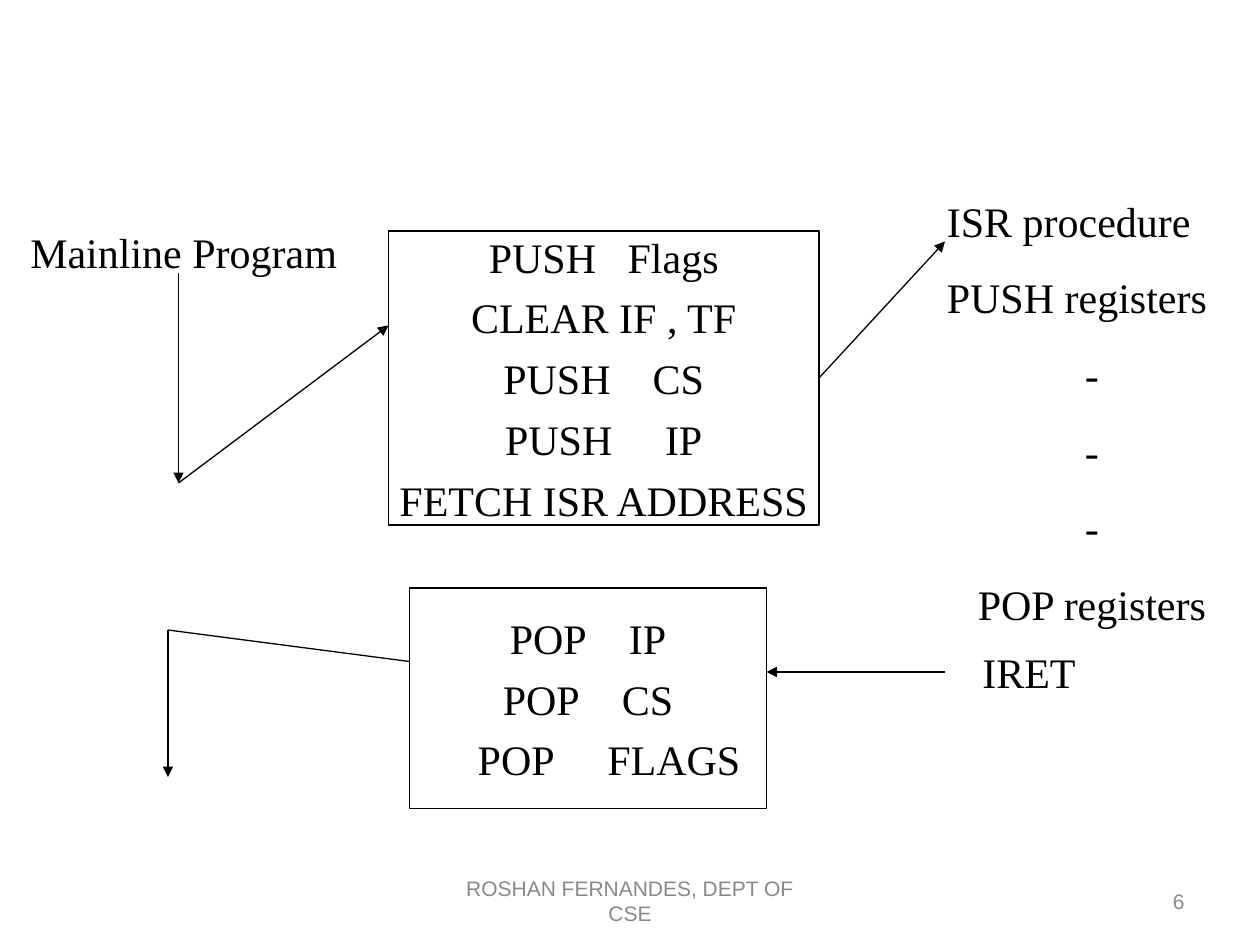
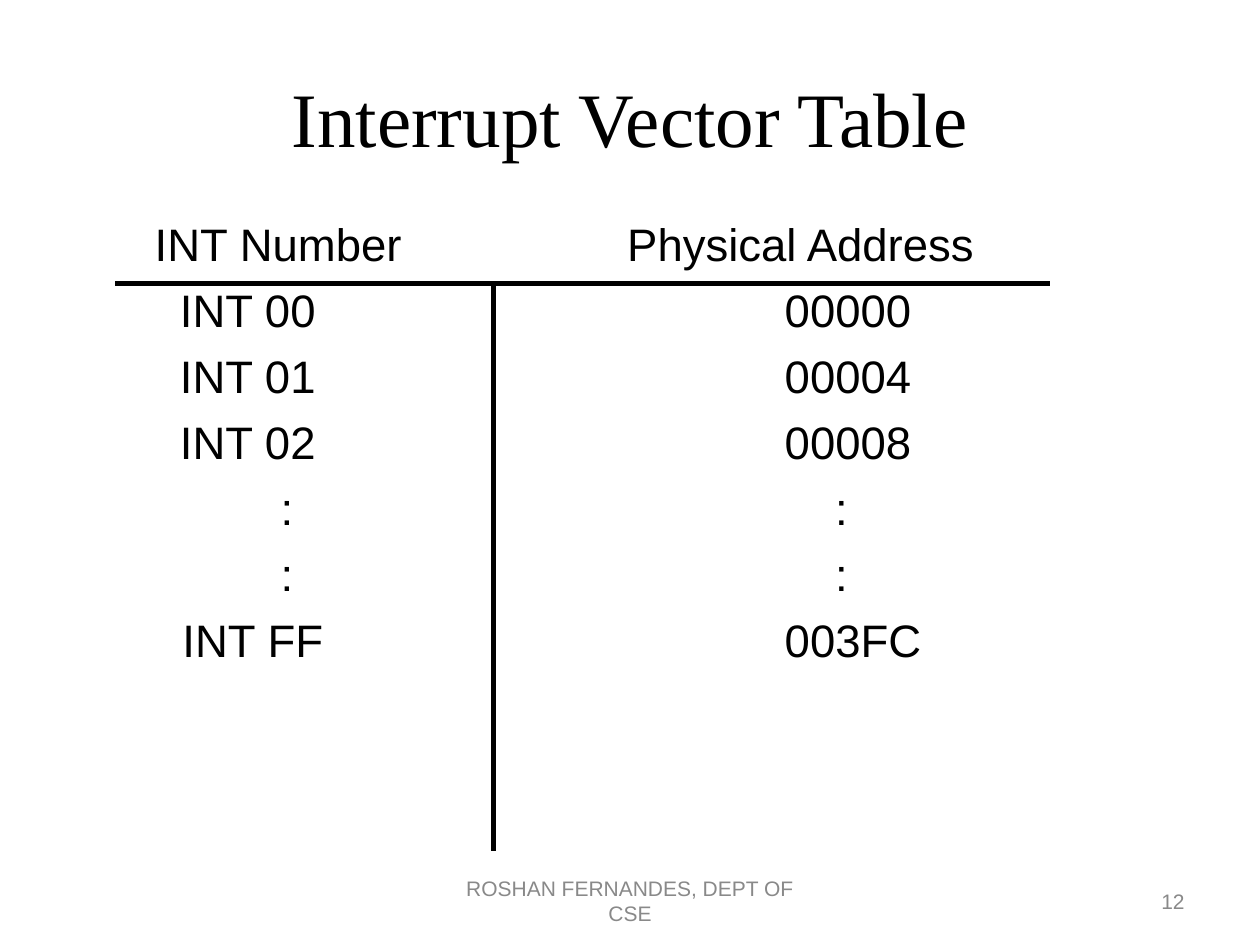
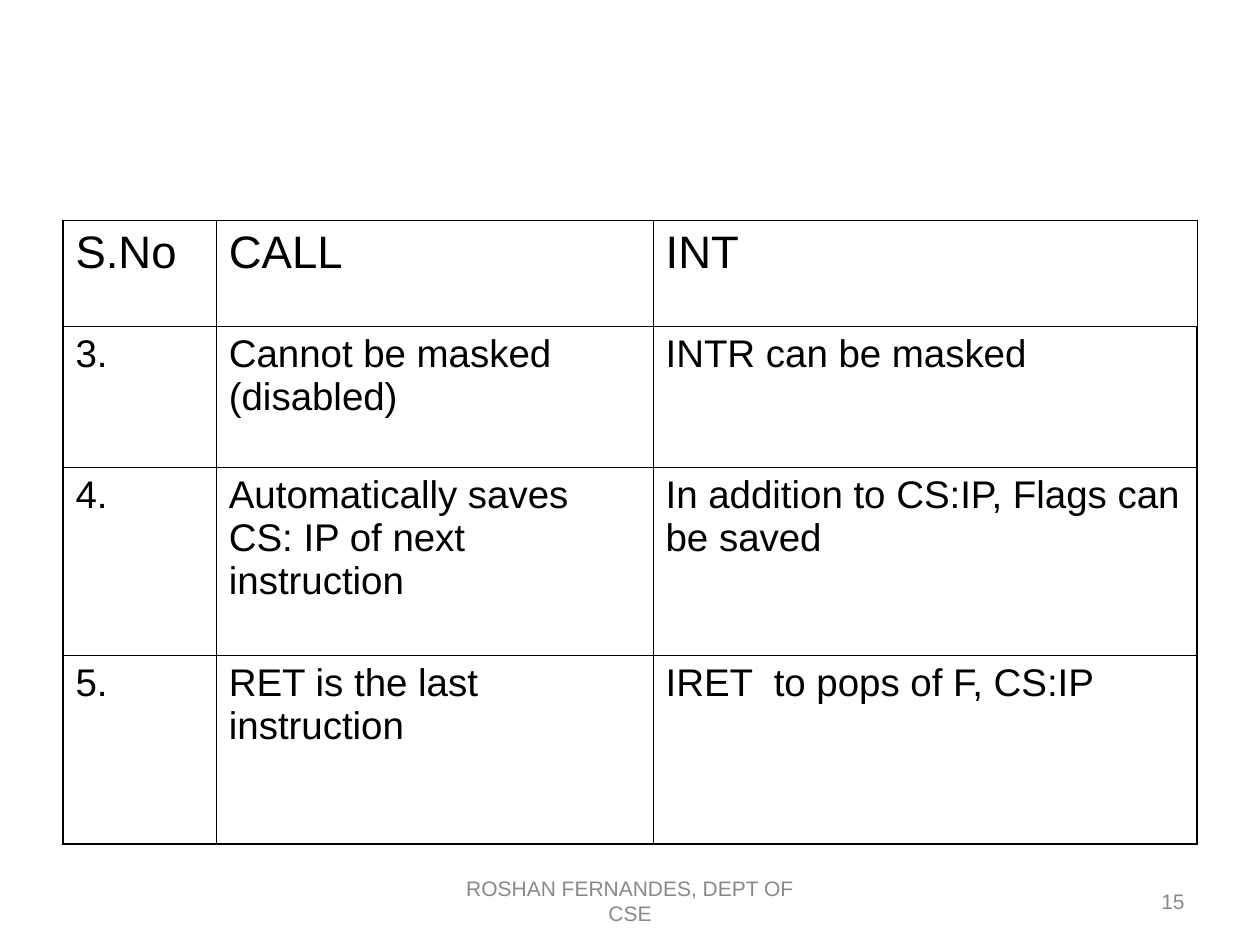
from lxml import etree
from pptx import Presentation
from pptx.dml.color import RGBColor
from pptx.enum.shapes import MSO_CONNECTOR, MSO_SHAPE
from pptx.enum.text import MSO_ANCHOR, PP_ALIGN as AL
from pptx.oxml.ns import qn
from pptx.util import Inches, Pt

BLACK = RGBColor(0x00, 0x00, 0x00)
GREY = RGBColor(0x89, 0x89, 0x89)
SERIF, SANS = "Times New Roman", "Arial"
U = Inches(1) // 12  # grid unit: the slide is 120 columns by 90 rows


def write(target, lines, box=None, size=24, font=SERIF, color=BLACK, align=AL.LEFT,
          anchor=MSO_ANCHOR.TOP, before=0, lead=1.2, gaps=None):
    """Fill a text frame, or a new text box when box gives its place on the grid.

    gaps lists, line by line, the points added to the first space.
    """
    tf = target
    if box:
        tf = target.shapes.add_textbox(*[round(n * U) for n in box]).text_frame
    tf.word_wrap = True
    tf.vertical_anchor = anchor
    for i, line in enumerate(lines):
        p = tf.add_paragraph() if i else tf.paragraphs[0]
        p.alignment = align
        p.line_spacing = Pt(size * lead)
        if i and before:
            p.space_before = Pt(before)
        for part in line.partition(" ") if gaps else [line]:
            r = p.add_run()
            r.text = part
            r.font.size, r.font.name = Pt(size), font
            r.font.color.rgb = color
            if gaps and part == " ":
                r._r.get_or_add_rPr().set("spc", str(gaps[i] * 100))
    return tf


def add_line(s, x1, y1, x2, y2, width=0.75, arrow=False):
    c = s.shapes.add_connector(MSO_CONNECTOR.STRAIGHT, x1 * U, y1 * U, x2 * U, y2 * U)
    c.line.color.rgb = BLACK
    c.line.width = Pt(width)
    if arrow:
        etree.SubElement(c.line._get_or_add_ln(), qn("a:tailEnd"), type="triangle")
    etree.SubElement(c._element.spPr, qn("a:effectLst"))


prs = Presentation()
prs.slide_width, prs.slide_height = 120 * U, 90 * U

# Slides with their shared footer and page number
slides = []
for number in (6, 12, 15):
    s = prs.slides.add_slide(prs.slide_layouts[6])
    small = dict(size=12, font=SANS, color=GREY, anchor=MSO_ANCHOR.MIDDLE)
    write(s, ["ROSHAN FERNANDES, DEPT OF CSE"], (41, 83.4, 38, 4.8), align=AL.CENTER, **small)
    write(s, [str(number)], (86, 83.4, 28, 4.8), align=AL.RIGHT, **small)
    slides.append(s)
flow, vectors, compare = slides

# Interrupt flow: what the processor does on entry and on return
steps = [
    ((37, 22, 41, 28), [("PUSH Flags", 12), ("CLEAR IF , TF", 0), ("PUSH CS", 18),
                        ("PUSH IP", 24), ("FETCH ISR ADDRESS", 0)]),
    ((39, 56, 34, 21), [("POP IP", 18), ("POP CS", 18), ("POP FLAGS", 24)]),
]
for box, rows in steps:
    sp = flow.shapes.add_shape(MSO_SHAPE.RECTANGLE, *[n * U for n in box])
    sp.shadow.inherit = False
    sp.fill.background()
    sp.line.color.rgb = BLACK
    sp.line.width = Pt(0.75)
    names, gaps = zip(*rows)
    tf = write(sp.text_frame, names, align=AL.CENTER, anchor=MSO_ANCHOR.MIDDLE,
               before=6, gaps=gaps)
    tf.margin_left = tf.margin_right = 0
tf.paragraphs[-1]._p.get_or_add_pPr().set("marL", str(4 * U))

# Interrupt flow: program and service routine
write(flow, ["Mainline Program"], (0, 21, 35, 6), align=AL.CENTER)
isr = write(flow, ["ISR procedure", "PUSH registers", "-", "-", "-", "POP registers"],
            (89, 18, 30, 42.5), before=15)
for p in isr.paragraphs[2:]:
    p.alignment = AL.CENTER
write(flow, ["IRET"], (88, 61, 20, 6), align=AL.CENTER)

for ends in [(17, 26, 17, 46), (17, 46, 37, 31), (78, 36, 90, 23),
             (90, 64, 73, 64), (16, 60, 16, 74)]:
    add_line(flow, *ends, arrow=True)
add_line(flow, 39, 63, 16, 60)

# Vector table: each row has its own pair of tab stops, in inches
write(vectors, ["Interrupt Vector Table"], (6, 3.6, 108, 15), size=44,
      align=AL.CENTER, anchor=MSO_ANCHOR.MIDDLE)
entries = [
    ("INT Number", "Physical Address", 0.38, 4.13),
    ("INT 00", "00000", 0.58, 5.38),
    ("INT 01", "00004", 0.58, 5.38),
    ("INT 02", "00008", 0.58, 5.38),
    (":", ":", 1.38, 5.78),
    (":", ":", 1.38, 5.78),
    ("INT FF", "003FC", 0.6, 5.38),
]
tf = write(vectors, [f"\t{name}\t{address}" for name, address, *stops in entries],
           (9, 20, 102, 63), size=26, font=SANS, before=6.5)
for p, (name, address, *stops) in zip(tf.paragraphs, entries):
    tabs = etree.SubElement(p._p.get_or_add_pPr(), qn("a:tabLst"))
    for stop in stops:
        etree.SubElement(tabs, qn("a:tab"), pos=str(Inches(stop)), algn="l")
add_line(vectors, 47, 27, 47, 81, width=3)
add_line(vectors, 11, 27, 100, 27, width=3)

# Comparison of CALL and INT
cells = [
    ("S.No", "CALL", "INT"),
    ("3.", "Cannot be masked (disabled)", "INTR can be masked"),
    ("4.", "Automatically saves CS: IP of next instruction",
     "In addition to CS:IP, Flags can be saved"),
    ("5.", "RET is the last instruction", "IRET  to pops of F, CS:IP"),
]
widths, heights = (14.6, 41.6, 51.8), (10.1, 13.4, 17.9, 18)
table = compare.shapes.add_table(len(heights), len(widths), 6 * U, 21 * U,
                                 108 * U, round(sum(heights) * U)).table
table.first_row = table.horz_banding = False
for column, width in zip(table.columns, widths):
    column.width = round(width * U)
for row, height in zip(table.rows, heights):
    row.height = round(height * U)

for i, row in enumerate(cells):
    for j, text in enumerate(row):
        cell = table.cell(i, j)
        cell.fill.background()
        write(cell.text_frame, [text], size=22 if i else 26, font=SANS, lead=1.12)
        # Thick borders outside, thin ones inside
        outer = {"lnL": j == 0, "lnR": j == 2 and i > 0, "lnT": i == 0, "lnB": i == 3}
        for k, (side, thick) in enumerate(outer.items()):
            ln = etree.Element(qn(f"a:{side}"), w=str(Pt(1.08 if thick else 0.45)))
            fill = etree.SubElement(ln, qn("a:solidFill"))
            etree.SubElement(fill, qn("a:srgbClr"), val=str(BLACK))
            cell._tc.get_or_add_tcPr().insert(k, ln)

prs.save("out.pptx")
